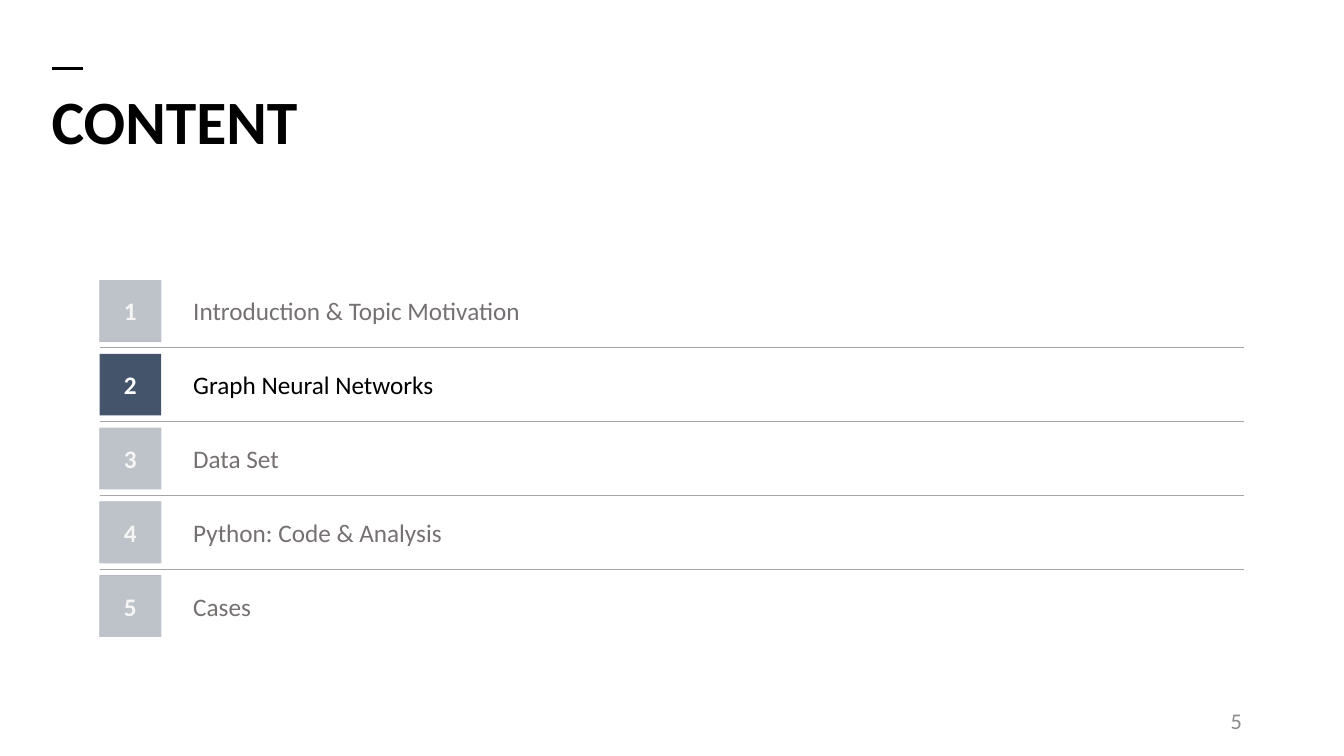
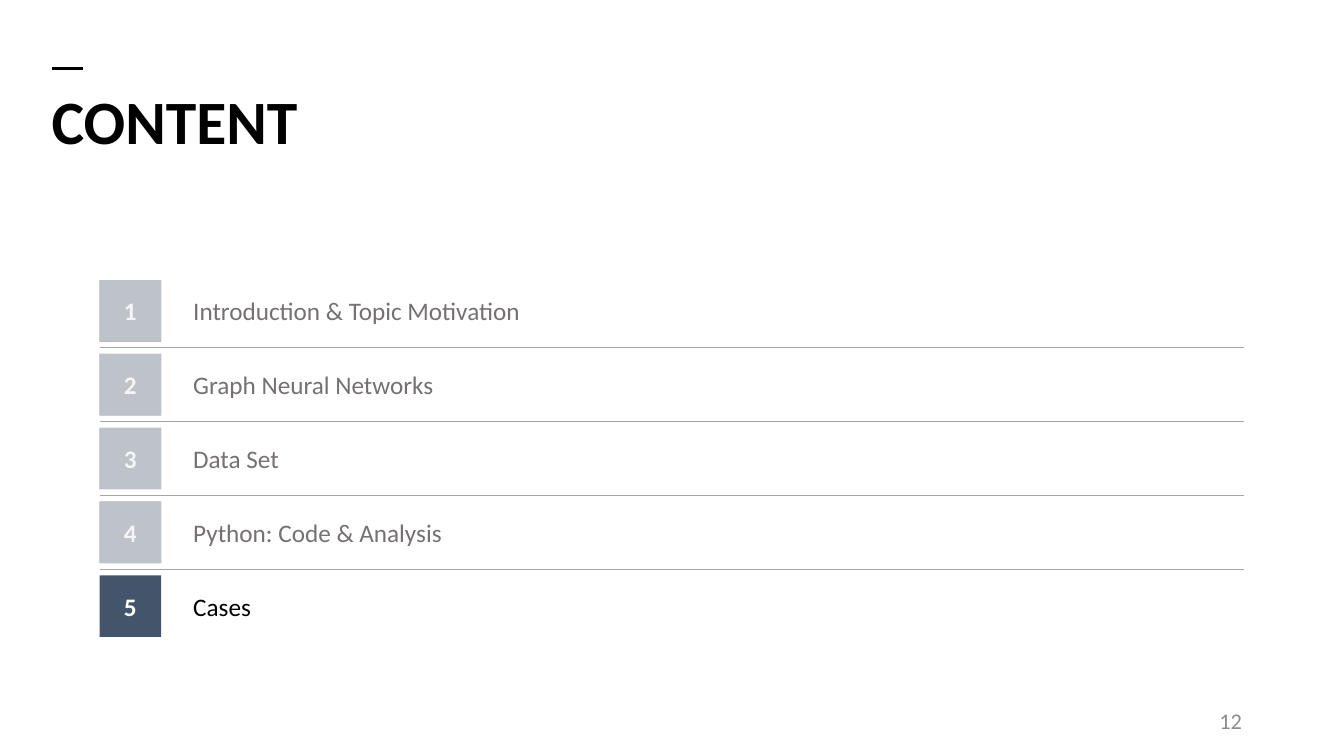
import pptx
import pptx.dml.color
import pptx.enum.shapes
import pptx.enum.text
import pptx.oxml.ns
import pptx.util
from lxml import etree

Cm, Pt = pptx.util.Cm, pptx.util.Pt
ANCHOR = pptx.enum.text.MSO_ANCHOR
ALIGN = pptx.enum.text.PP_ALIGN
qn = pptx.oxml.ns.qn

# Shared look
FONT = "Calibri"
BLACK, WHITE = "000000", "FFFFFF"
NAVY, VEIL = "44546A", "F2F2F2"
MUTED, RULE, PAGE_GREY = "767171", "A6A6A6", "8C8C8C"
VEIL_OPACITY = 70

# Agenda grid, in cm
AGENDA_BOX = (2.51, 7.06, 28.83)  # left, top, width
TILE, TILE_GAP, LABEL_GAP = 1.55, 0.31, 0.56

CHAPTERS = [
    "Introduction & Topic Motivation",
    "Graph Neural Networks",
    "Data Set",
    "Python: Code & Analysis",
    "Cases",
]
AGENDAS = [(2, "5"), (5, "12")]  # current chapter, page number


def rgb(hex_color):
    return pptx.dml.color.RGBColor.from_string(hex_color)


def write(shape, text, size, color, bold=False, align=ALIGN.LEFT, anchor=ANCHOR.MIDDLE):
    frame = shape.text_frame
    frame.word_wrap = True
    frame.vertical_anchor = anchor
    paragraph = frame.paragraphs[0]
    paragraph.text = text
    paragraph.alignment = align
    font = paragraph.font
    font.name, font.size, font.bold = FONT, Pt(size), bold
    font.color.rgb = rgb(color)
    return paragraph


def add_text(slide, box, text, size, color, **style):
    textbox = slide.shapes.add_textbox(*map(Cm, box))
    return textbox, write(textbox, text, size, color, **style)


def add_block(slide, box, color, opacity=100):
    block = slide.shapes.add_shape(pptx.enum.shapes.MSO_SHAPE.RECTANGLE, *map(Cm, box))
    block.shadow.inherit = False
    block.fill.solid()
    block.fill.fore_color.rgb = rgb(color)
    block.line.fill.background()
    if opacity < 100:
        fill_color = block.element.spPr.find(".//" + qn("a:srgbClr"))
        etree.SubElement(fill_color, qn("a:alpha"), val=str(opacity * 1000))
    return block


def add_rule(slide, left, right, y, color, weight):
    rule = slide.shapes.add_connector(
        pptx.enum.shapes.MSO_CONNECTOR.STRAIGHT, Cm(left), Cm(y), Cm(right), Cm(y))
    rule.line.color.rgb = rgb(color)
    rule.line.width = Pt(weight)
    etree.SubElement(rule.element.spPr, qn("a:effectLst"))


def add_header(slide, left, top, title):
    add_rule(slide, left, left + 0.8, top, BLACK, 2.25)
    textbox, heading = add_text(slide, (left - 0.25, top + 0.38, 21.9, 3.68), title,
                                44, BLACK, bold=True, anchor=ANCHOR.TOP)
    textbox.text_frame.margin_top = Cm(0.43)
    heading.line_spacing = Pt(40)


def add_page_number(slide, number):
    add_text(slide, (23.93, 17.65, 7.62, 1.02), number, 16, PAGE_GREY, align=ALIGN.RIGHT)


def add_agenda_row(slide, left, top, width, number, chapter, is_current):
    label_offset = TILE + LABEL_GAP
    tile_box = (left, top, TILE, TILE)
    tile = add_block(slide, tile_box, NAVY)
    write(tile, str(number), 18, WHITE, bold=True, align=ALIGN.CENTER)
    label = add_block(slide, (left + label_offset, top, width - label_offset, TILE), WHITE)
    write(label, chapter, 18, BLACK if is_current else MUTED)
    if not is_current:
        add_block(slide, tile_box, VEIL, VEIL_OPACITY)


def add_agenda(slide, left, top, width, current):
    for index, chapter in enumerate(CHAPTERS):
        row_top = top + index * (TILE + TILE_GAP)
        if index:  # divider halfway between two rows
            add_rule(slide, left, left + width, row_top - TILE_GAP / 2, RULE, 0.5)
        number = index + 1
        add_agenda_row(slide, left, row_top, width, number, chapter, number == current)


def add_content_slide(deck, current, page):
    slide = deck.slides.add_slide(deck.slide_layouts[6])
    add_header(slide, 1.3, 1.73, "CONTENT")
    add_agenda(slide, *AGENDA_BOX, current)
    add_page_number(slide, page)


def main():
    deck = pptx.Presentation()
    deck.slide_width, deck.slide_height = Cm(33.87), Cm(19.05)
    for current, page in AGENDAS:
        add_content_slide(deck, current, page)
    deck.save("out.pptx")


if __name__ == "__main__":
    main()
